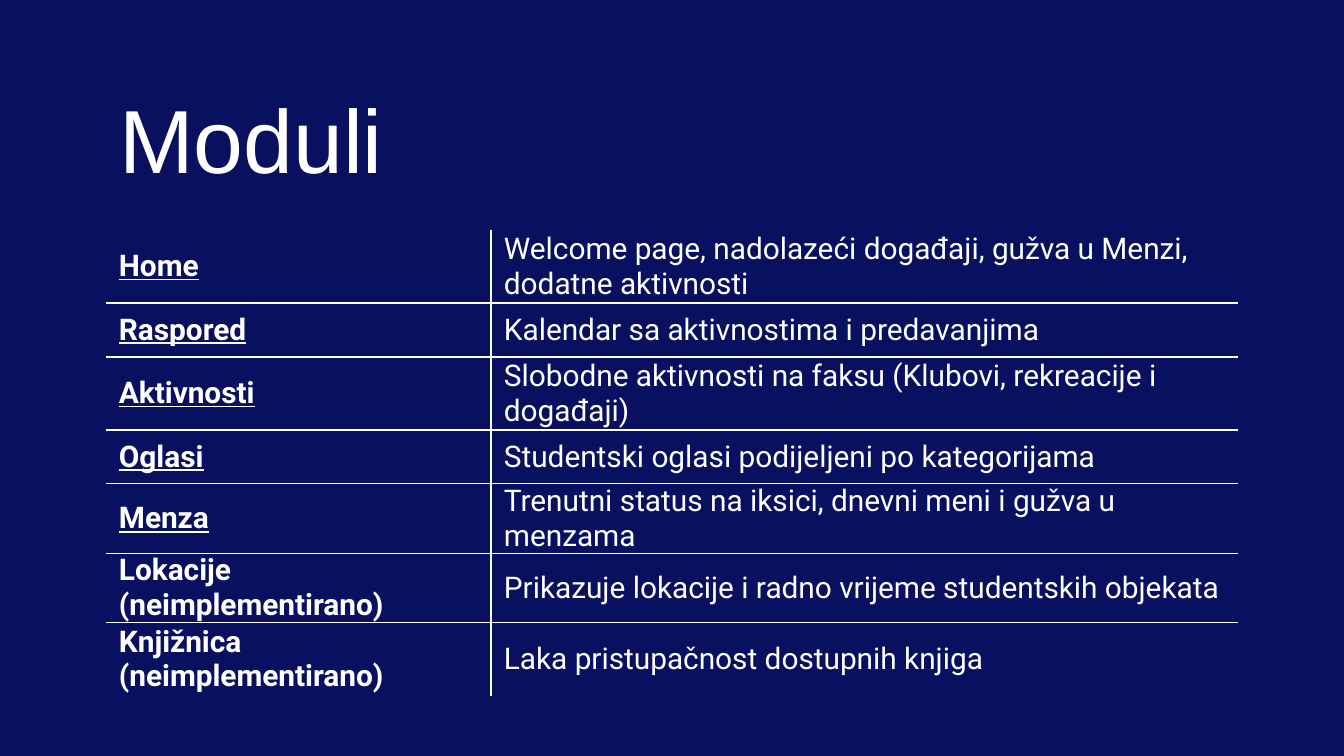
from dataclasses import dataclass

from lxml import etree
from pptx import Presentation
from pptx.dml.color import RGBColor
from pptx.enum.text import MSO_ANCHOR
from pptx.oxml.ns import qn
from pptx.util import Pt

MIDDLE = MSO_ANCHOR.MIDDLE
SCALE = 9144000 / 1344


@dataclass(frozen=True)
class Theme:
    """Colours, fonts and sizes of the slide."""
    back: str = "091060"
    ink: str = "FFFFFF"
    head: str = "Arial"
    body: str = "Roboto"
    large: int = 48
    small: int = 16
    rule: float = 0.75


THEME = Theme()
ROWS = [
    ("Home", "Welcome page, nadolazeći događaji, gužva u Menzi, dodatne aktivnosti", True, 73),
    ("Raspored", "Kalendar sa aktivnostima i predavanjima", True, 54),
    ("Aktivnosti", "Slobodne aktivnosti na faksu (Klubovi, rekreacije i događaji)", True, 73),
    ("Oglasi", "Studentski oglasi podijeljeni po kategorijama", True, 54),
    ("Menza", "Trenutni status na iksici, dnevni meni i gužva u menzama", True, 54),
    ("Lokacije (neimplementirano)", "Prikazuje lokacije i radno vrijeme studentskih objekata", False, 54),
    ("Knjižnica (neimplementirano)", "Laka pristupačnost dostupnih knjiga", False, 73),
]


def px(count):
    """Turn pixels into EMU."""
    return round(count * SCALE)


def write(frame, text, face, size, bold=False, under=False):
    """Add one styled run to the first paragraph of a frame."""
    run = frame.paragraphs[0].add_run()
    run.text = text
    font = run.font
    font.name, font.size = face, Pt(size)
    font.bold, font.underline = bold, under
    font.color.rgb = RGBColor.from_string(THEME.ink)


def border(cell, edges):
    """Draw the named cell edges and clear the others."""
    props = cell._tc.get_or_add_tcPr()
    for place, edge in enumerate("LRTB"):
        line = etree.Element(qn(f"a:ln{edge}"), w=str(Pt(THEME.rule)))
        if edge in edges:
            fill = etree.SubElement(line, qn("a:solidFill"))
            etree.SubElement(fill, qn("a:srgbClr"), val=THEME.ink)
        else:
            etree.SubElement(line, qn("a:noFill"))
        props.insert(place, line)


def title(slide, box, text):
    """Place the slide title in its box."""
    frame = slide.shapes.add_textbox(*map(px, box)).text_frame
    frame.word_wrap = True
    frame.vertical_anchor = MIDDLE
    frame.margin_left = frame.margin_right = px(13)
    frame.margin_top = frame.margin_bottom = px(13)
    write(frame, text, THEME.head, THEME.large)


def modules(slide, box, rows, split):
    """Place the table of modules with rules only between its cells."""
    table = slide.shapes.add_table(len(rows), 2, *map(px, box)).table
    table.first_row = table.horz_banding = False
    for col, width in zip(table.columns, (split, box[2] - split)):
        col.width = px(width)
    for at, (name, about, under, high) in enumerate(rows):
        table.rows[at].height = px(high)
        above = "T" if at else ""
        below = "B" if at < len(rows) - 1 else ""
        parts = ((name, True, under, "R"), (about, False, False, "L"))
        for cell, (text, bold, line, side) in zip(table.rows[at].cells, parts):
            cell.fill.background()
            cell.vertical_anchor = MIDDLE
            cell.margin_left = cell.margin_right = px(13)
            cell.margin_top = cell.margin_bottom = 0
            border(cell, side + above + below)
            write(cell.text_frame, text, THEME.body, THEME.small, bold, line)


def main():
    """Build and save the slide."""
    deck = Presentation()
    deck.slide_width, deck.slide_height = px(1344), px(756)
    slide = deck.slides.add_slide(deck.slide_layouts[6])
    fill = slide.background.fill
    fill.solid()
    fill.fore_color.rgb = RGBColor.from_string(THEME.back)
    modules(slide, (106, 230, 1132, 435), ROWS, 385)
    title(slide, (106, 66, 1132, 144), "Moduli")
    deck.save("out.pptx")


if __name__ == "__main__":
    main()
